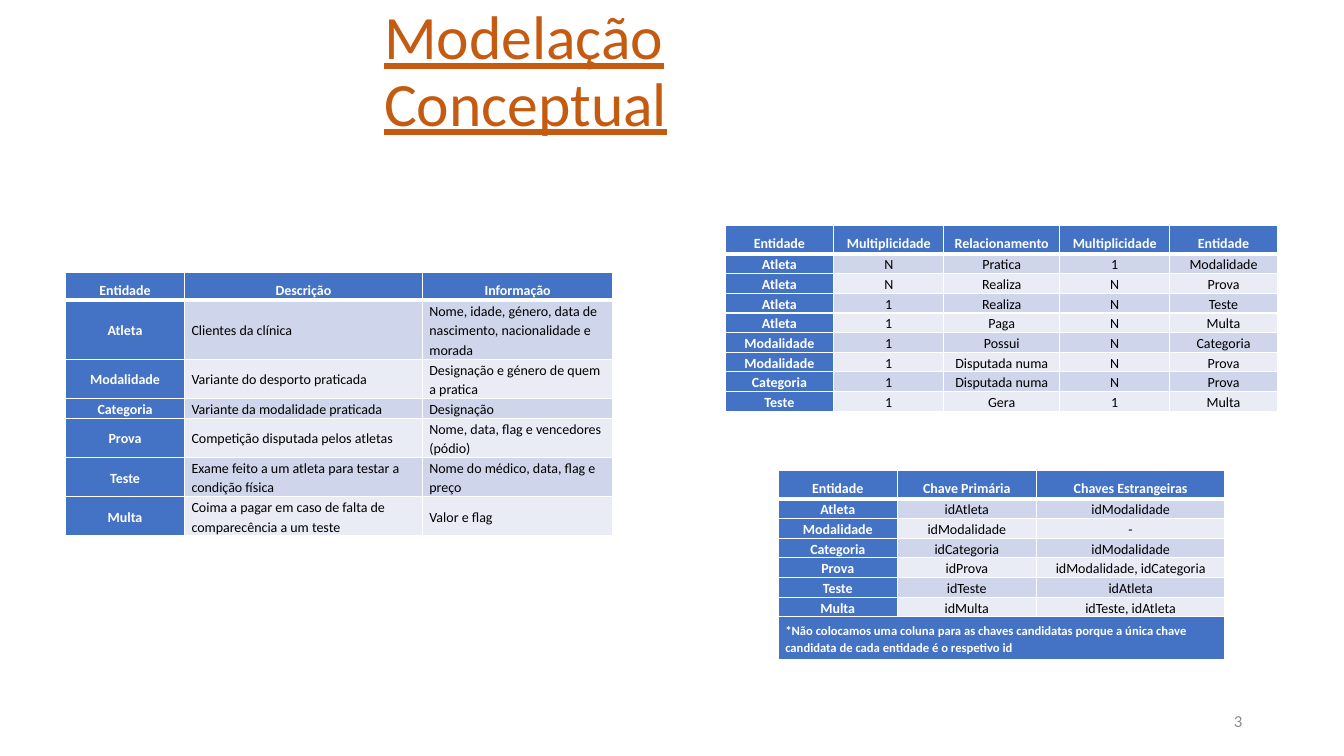
from lxml import etree
from pptx import Presentation
from pptx.dml.color import RGBColor
from pptx.enum.text import MSO_ANCHOR, PP_ALIGN
from pptx.oxml.ns import qn
from pptx.util import Inches, Pt

LEFT, CENTER, RIGHT = PP_ALIGN.LEFT, PP_ALIGN.CENTER, PP_ALIGN.RIGHT
MIDDLE = MSO_ANCHOR.MIDDLE

WIDTH, HEIGHT = Inches(13.33), Inches(7.5)
FONT = "Calibri"
TITLE_ORANGE = RGBColor(0xC5, 0x5A, 0x11)
BLUE = RGBColor(0x44, 0x72, 0xC4)
BANDS = (RGBColor(0xCF, 0xD5, 0xEA), RGBColor(0xE9, 0xEB, 0xF5))
WHITE = RGBColor(0xFF, 0xFF, 0xFF)
BLACK = RGBColor(0x00, 0x00, 0x00)
GRAY = RGBColor(0x8C, 0x8C, 0x8C)

# Row heights, in percent of the slide's height
HEADER_ROW, TEXT_LINE, NOTE_ROW = 3.73, 2.6, 5.73

ENTITIES = [
    ("Entidade", "Descrição", "Informação"),
    ("Atleta", "Clientes da clínica",
     "Nome, idade, género, data de nascimento, nacionalidade e morada"),
    ("Modalidade", "Variante do desporto praticada",
     "Designação e género de quem a pratica"),
    ("Categoria", "Variante da modalidade praticada", "Designação"),
    ("Prova", "Competição disputada pelos atletas",
     "Nome, data, flag e vencedores (pódio)"),
    ("Teste", "Exame feito a um atleta para testar a condição física",
     "Nome do médico, data, flag e preço"),
    ("Multa", "Coima a pagar em caso de falta de comparecência a um teste",
     "Valor e flag"),
]
RELATIONSHIPS = [
    ("Entidade", "Multiplicidade", "Relacionamento", "Multiplicidade", "Entidade"),
    ("Atleta", "N", "Pratica", "1", "Modalidade"),
    ("Atleta", "N", "Realiza", "N", "Prova"),
    ("Atleta", "1", "Realiza", "N", "Teste"),
    ("Atleta", "1", "Paga", "N", "Multa"),
    ("Modalidade", "1", "Possui", "N", "Categoria"),
    ("Modalidade", "1", "Disputada numa", "N", "Prova"),
    ("Categoria", "1", "Disputada numa", "N", "Prova"),
    ("Teste", "1", "Gera", "1", "Multa"),
]
KEYS = [
    ("Entidade", "Chave Primária", "Chaves Estrangeiras"),
    ("Atleta", "idAtleta", "idModalidade"),
    ("Modalidade", "idModalidade", "-"),
    ("Categoria", "idCategoria", "idModalidade"),
    ("Prova", "idProva", "idModalidade, idCategoria"),
    ("Teste", "idTeste", "idAtleta"),
    ("Multa", "idMulta", "idTeste, idAtleta"),
]
KEYS_NOTE = ("*Não colocamos uma coluna para as chaves candidatas porque a única "
             "chave candidata de cada entidade é o respetivo id")


def across(percent):
    return round(WIDTH * percent / 100)


def down(percent):
    return round(HEIGHT * percent / 100)


def set_text(text_frame, text, size, color, align, bold=False):
    text_frame.text = text
    paragraph = text_frame.paragraphs[0]
    paragraph.alignment = align
    font = paragraph.runs[0].font
    font.name, font.size, font.bold = FONT, Pt(size), bold
    font.color.rgb = color
    return paragraph


def add_border(cell, side, points):
    properties = cell._tc.get_or_add_tcPr()
    line = etree.SubElement(properties, qn(f"a:ln{side}"), w=str(Pt(points)))
    fill = etree.SubElement(line, qn("a:solidFill"))
    etree.SubElement(fill, qn("a:srgbClr"), val=str(WHITE))


def format_cell(cell, text, fill, color, align, size=10, bold=False, header=False):
    paragraph = set_text(cell.text_frame, text, size, color, align, bold)
    paragraph.line_spacing = 1.5 if header else 1.15
    if not header:
        paragraph.space_before = paragraph.space_after = Pt(6)
    cell.vertical_anchor = MIDDLE
    cell.margin_left = cell.margin_right = Inches(0.07)
    cell.margin_top = cell.margin_bottom = 0
    for side in "LRTB":
        add_border(cell, side, 3 if header and side == "B" else 1)
    cell.fill.solid()
    cell.fill.fore_color.rgb = fill


def add_entity_table(slide, left, top, widths, rows, body_align=CENTER,
                     line_counts=None, note=None):
    line_counts = line_counts or [1] * (len(rows) - 1)
    heights = [HEADER_ROW] + [TEXT_LINE * count for count in line_counts]
    if note:
        heights.append(NOTE_ROW)
    table = slide.shapes.add_table(
        len(heights), len(widths), across(left), down(top),
        across(sum(widths)), down(sum(heights))).table
    table.horz_banding = False
    for column, width in zip(table.columns, widths):
        column.width = across(width)
    for row, height in zip(table.rows, heights):
        row.height = down(height)

    # Blue header row and first column, banded body
    for row_index, texts in enumerate(rows):
        for column_index, text in enumerate(texts):
            cell = table.cell(row_index, column_index)
            header = row_index == 0
            if header or column_index == 0:
                format_cell(cell, text, BLUE, WHITE, CENTER, bold=True, header=header)
            else:
                format_cell(cell, text, BANDS[(row_index - 1) % 2], BLACK, body_align)

    # Note across the full width
    if note:
        note_cell = table.cell(len(rows), 0)
        note_cell.merge(table.cell(len(rows), len(widths) - 1))
        format_cell(note_cell, note, BLUE, WHITE, LEFT, size=9, bold=True)


def add_title(slide, text):
    title = slide.shapes.title
    title.left, title.top = across(27.83), 0
    title.width, title.height = across(44.3), down(19.33)
    title.text_frame.word_wrap = True
    title.text_frame.vertical_anchor = MIDDLE
    paragraph = set_text(title.text_frame, text, 44, TITLE_ORANGE, LEFT)
    paragraph.line_spacing = 0.9
    paragraph.runs[0].font.underline = True


def add_page_number(slide, number):
    box = slide.shapes.add_textbox(across(70.67), down(92.67), across(22.5), down(5.33))
    box.text_frame.word_wrap = True
    box.text_frame.vertical_anchor = MIDDLE
    set_text(box.text_frame, number, 12, GRAY, RIGHT)


def main():
    presentation = Presentation()
    presentation.slide_width, presentation.slide_height = WIDTH, HEIGHT
    slide = presentation.slides.add_slide(presentation.slide_layouts.get_by_name("Title Only"))

    add_title(slide, "Modelação Conceptual")
    add_entity_table(slide, 4.88, 36, (8.85, 17.7, 14.18), ENTITIES,
                     body_align=LEFT, line_counts=(3, 2, 1, 2, 2, 2))
    add_entity_table(slide, 53.94, 29.87, (8.1, 8.18, 8.63, 8.18, 8.03), RELATIONSHIPS)
    add_entity_table(slide, 57.91, 62.27, (8.85, 10.35, 14.03), KEYS, note=KEYS_NOTE)
    add_page_number(slide, "3")

    presentation.save("out.pptx")


if __name__ == "__main__":
    main()
